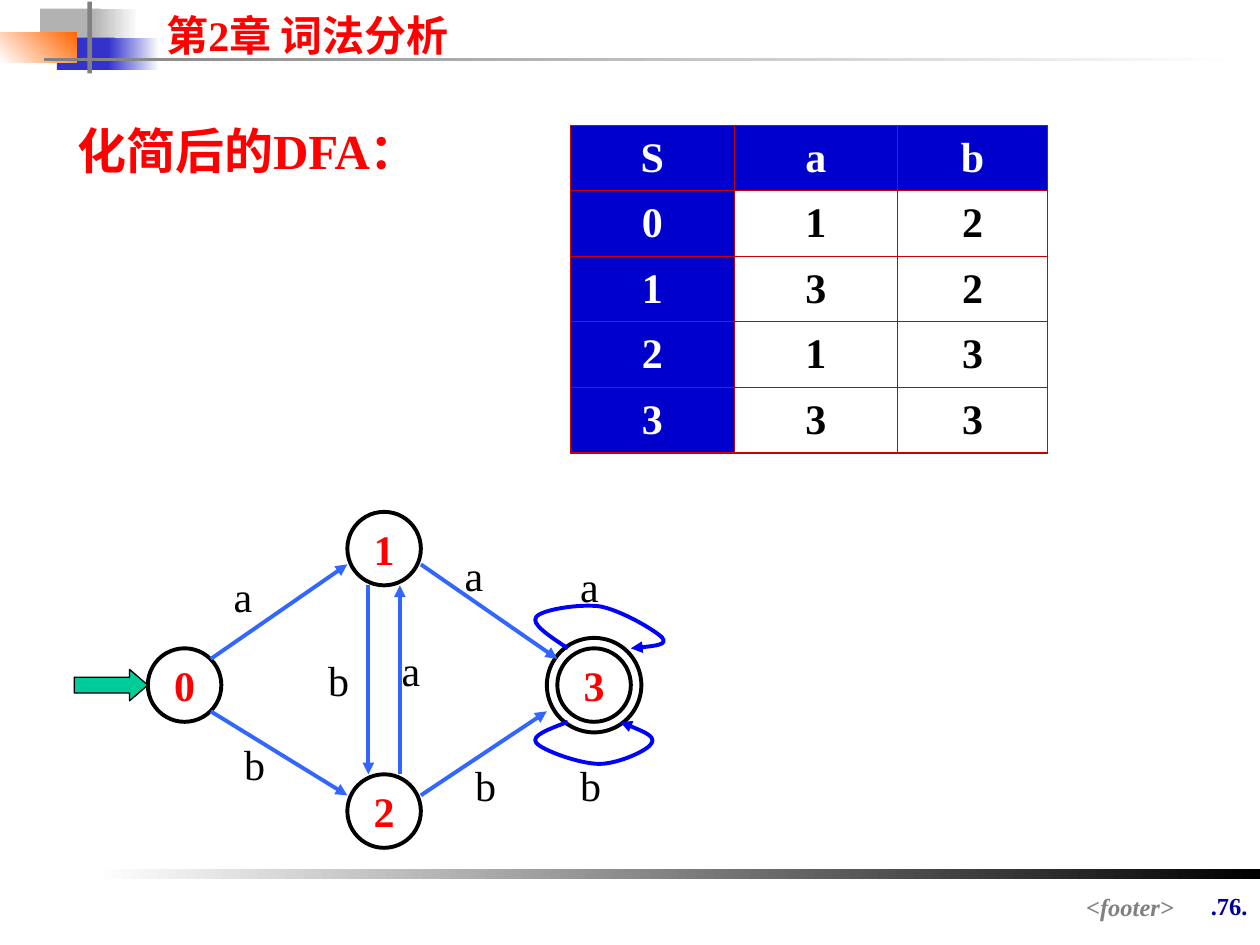
from lxml.etree import SubElement
from pptx import Presentation
from pptx.dml.color import RGBColor
from pptx.enum.shapes import MSO_CONNECTOR, MSO_SHAPE
from pptx.enum.text import MSO_ANCHOR, MSO_AUTO_SIZE, PP_ALIGN
from pptx.oxml.ns import qn
from pptx.util import Pt

RED = RGBColor(0xFF, 0x00, 0x00)
BLACK = RGBColor(0x00, 0x00, 0x00)
WHITE = RGBColor(0xFF, 0xFF, 0xFF)
SILVER = RGBColor(0xB2, 0xB2, 0xB2)
GRAY = RGBColor(0x80, 0x80, 0x80)
INDIGO = RGBColor(0x33, 0x33, 0xCC)
ORANGE = RGBColor(0xFF, 0x66, 0x00)
NAVY = RGBColor(0x00, 0x00, 0x99)
CELL_BLUE = RGBColor(0x00, 0x00, 0xCC)
BORDER_RED = RGBColor(0xCC, 0x00, 0x00)
EDGE_BLUE = RGBColor(0x33, 0x66, 0xFF)
LOOP_BLUE = RGBColor(0x00, 0x00, 0xFF)
GREEN = RGBColor(0x00, 0xCC, 0x99)


def write(frame, text, size, color, bold=True, italic=False, align=PP_ALIGN.LEFT):
    para = frame.paragraphs[0]
    para.alignment = align
    span = para.add_run()
    span.text = text
    span.font.name = "Times New Roman"
    span.font.size = Pt(size)
    span.font.bold = bold
    span.font.italic = italic
    span.font.color.rgb = color


def add_arrowhead(line, color):
    line.color.rgb = color
    line.width = Pt(2.25)
    SubElement(line._get_or_add_ln(), qn("a:tailEnd"), type="triangle")


deck = Presentation()
deck.slide_width, deck.slide_height = Pt(720), Pt(540)
page = deck.slides.add_slide(deck.slide_layouts[5])
shapes = page.shapes

bands = [
    (23, 5, 34.5, 19, [SILVER], 0),
    (53, 5, 26, 19, [WHITE, SILVER], 180),
    (32.5, 21.5, 33, 18.5, [INDIGO], 0),
    (62, 21.5, 29, 18.5, [WHITE, INDIGO], 180),
    (0, 18.5, 44, 17, [ORANGE, WHITE], 225),
    (50, 1, 2.5, 41, [GRAY], 0),
    (25, 33, 685, 2, [WHITE, GRAY], 180),
    (54, 496.5, 666, 6, [BLACK, WHITE], 180),
]
for left, top, width, height, colors, angle in bands:
    band = shapes.add_shape(MSO_SHAPE.RECTANGLE, Pt(left), Pt(top), Pt(width), Pt(height))
    band.shadow.inherit = False
    band.line.fill.background()
    if len(colors) == 1:
        band.fill.solid()
        band.fill.fore_color.rgb = colors[0]
    else:
        band.fill.gradient()
        band.fill.gradient_angle = angle
        for stop, color in zip(band.fill.gradient_stops, colors):
            stop.color.rgb = color

title = shapes.title
title.left, title.top, title.width, title.height = Pt(37), Pt(65.5), Pt(227), Pt(41)
title.text_frame.auto_size = MSO_AUTO_SIZE.NONE
title.text_frame.vertical_anchor = MSO_ANCHOR.TOP
write(title.text_frame, "化简后的DFA：", 28, RED)

captions = [
    (88, 2, 227, 36, "第2章 词法分析", 24, RED, False, PP_ALIGN.LEFT),
    (672, 505.5, 48, 30, ".76.", 14, NAVY, False, PP_ALIGN.RIGHT),
    (190, 506, 488, 19, "<footer>", 14, GRAY, True, PP_ALIGN.RIGHT),
]
for left, top, width, height, text, size, color, italic, align in captions:
    box = shapes.add_textbox(Pt(left), Pt(top), Pt(width), Pt(height))
    box.text_frame.word_wrap = True
    write(box.text_frame, text, size, color, italic=italic, align=align)

transitions = ["Sab", "012", "132", "213", "333"]
widths = [93.5, 93.5, 85.5]
row_height = 37.5
table = shapes.add_table(len(transitions), len(widths), Pt(326), Pt(71.5),
                         Pt(sum(widths)), Pt(row_height * len(transitions))).table
table.first_row = table.horz_banding = False
for column, width in zip(table.columns, widths):
    column.width = Pt(width)
for row_index, states in enumerate(transitions):
    table.rows[row_index].height = Pt(row_height)
    for column_index, state in enumerate(states):
        cell = table.cell(row_index, column_index)
        properties = cell._tc.get_or_add_tcPr()
        for side in ("a:lnL", "a:lnR", "a:lnT", "a:lnB"):
            border = SubElement(properties, qn(side), w=str(Pt(0.75)))
            paint = SubElement(border, qn("a:solidFill"))
            SubElement(paint, qn("a:srgbClr"), val=str(BORDER_RED))
        cell.vertical_anchor = MSO_ANCHOR.MIDDLE
        header = row_index == 0 or column_index == 0
        if header:
            cell.fill.solid()
            cell.fill.fore_color.rgb = CELL_BLUE
        else:
            cell.fill.background()
        write(cell.text_frame, state, 24, WHITE if header else BLACK, align=PP_ALIGN.CENTER)

nodes = [
    ("0", 105.5, 391.5, 42),
    ("1", 219.5, 313.5, 42),
    ("2", 219.5, 463.5, 42),
    ("3", 339.5, 391.5, 42),
    ("", 339.5, 391.5, 54),
]
for name, center_x, center_y, size in nodes:
    node = shapes.add_shape(MSO_SHAPE.OVAL, Pt(center_x - size / 2), Pt(center_y - size / 2),
                            Pt(size), Pt(size))
    node.shadow.inherit = False
    node.fill.background()
    node.line.color.rgb = BLACK
    node.line.width = Pt(2.25)
    if name:
        node.text_frame.word_wrap = False
        node.text_frame.vertical_anchor = MSO_ANCHOR.MIDDLE
        write(node.text_frame, name, 24, RED, align=PP_ALIGN.CENTER)

edges = [
    (120.5, 376.5, 198.5, 322.5),
    (120.5, 406.5, 198.5, 454.5),
    (240.5, 322.5, 318.5, 376.5),
    (240.5, 454.5, 312.5, 406.5),
    (228.5, 442.5, 228.5, 334.5),
    (210.5, 334.5, 210.5, 442.5),
]
for edge in edges:
    arrow = shapes.add_connector(MSO_CONNECTOR.STRAIGHT, *[Pt(value) for value in edge])
    add_arrowhead(arrow.line, EDGE_BLUE)
    SubElement(arrow._element.spPr, qn("a:effectLst"))

loops = [
    [(324.5, 412.5), (314, 416.5), (303, 420.5), (306.5, 424.5),
     (309.5, 428.5), (331, 436.5), (342.5, 436.5),
     (353.5, 436.5), (371, 428.5), (372.5, 424.5),
     (374.5, 420.5), (364, 416.5), (354.5, 412.5)],
    [(324.5, 370.5), (314, 363.5), (303, 356.5), (306.5, 352.5),
     (309.5, 348.5), (330.5, 345), (342.5, 346.5),
     (354.5, 348.5), (375, 360.5), (378.5, 364.5),
     (381.5, 368.5), (371, 369.5), (360.5, 370.5)],
]
for points in loops:
    points = [(Pt(x), Pt(y)) for x, y in points]
    builder = shapes.build_freeform(*points[0])
    builder.add_line_segments(points[1:], close=False)
    loop = builder.convert_to_shape()
    segments = list(loop._element.iter(qn("a:lnTo")))
    for index in range(0, len(segments), 3):
        curve = segments[index]
        curve.tag = qn("a:cubicBezTo")
        for extra in segments[index + 1:index + 3]:
            curve.append(extra[0])
            extra.getparent().remove(extra)
    loop.shadow.inherit = False
    loop.fill.background()
    add_arrowhead(loop.line, LOOP_BLUE)

labels = [
    ("a", 126.5, 322.5), ("a", 222.5, 364.5), ("a", 258.5, 310.5), ("a", 324.5, 316.5),
    ("b", 324.5, 430.5), ("b", 264.5, 430.5), ("b", 180.5, 370.5), ("b", 132.5, 418.5),
]
for letter, left, top in labels:
    label = shapes.add_textbox(Pt(left), Pt(top), Pt(30), Pt(36))
    label.text_frame.word_wrap = True
    write(label.text_frame, letter, 24, BLACK, bold=False)

start = shapes.add_shape(MSO_SHAPE.RIGHT_ARROW, Pt(42.5), Pt(382.5), Pt(42), Pt(18))
start.adjustments[0], start.adjustments[1] = 0.5, 0.58
start.shadow.inherit = False
start.fill.solid()
start.fill.fore_color.rgb = GREEN
start.line.color.rgb = BLACK
start.line.width = Pt(0.75)

deck.save("out.pptx")
